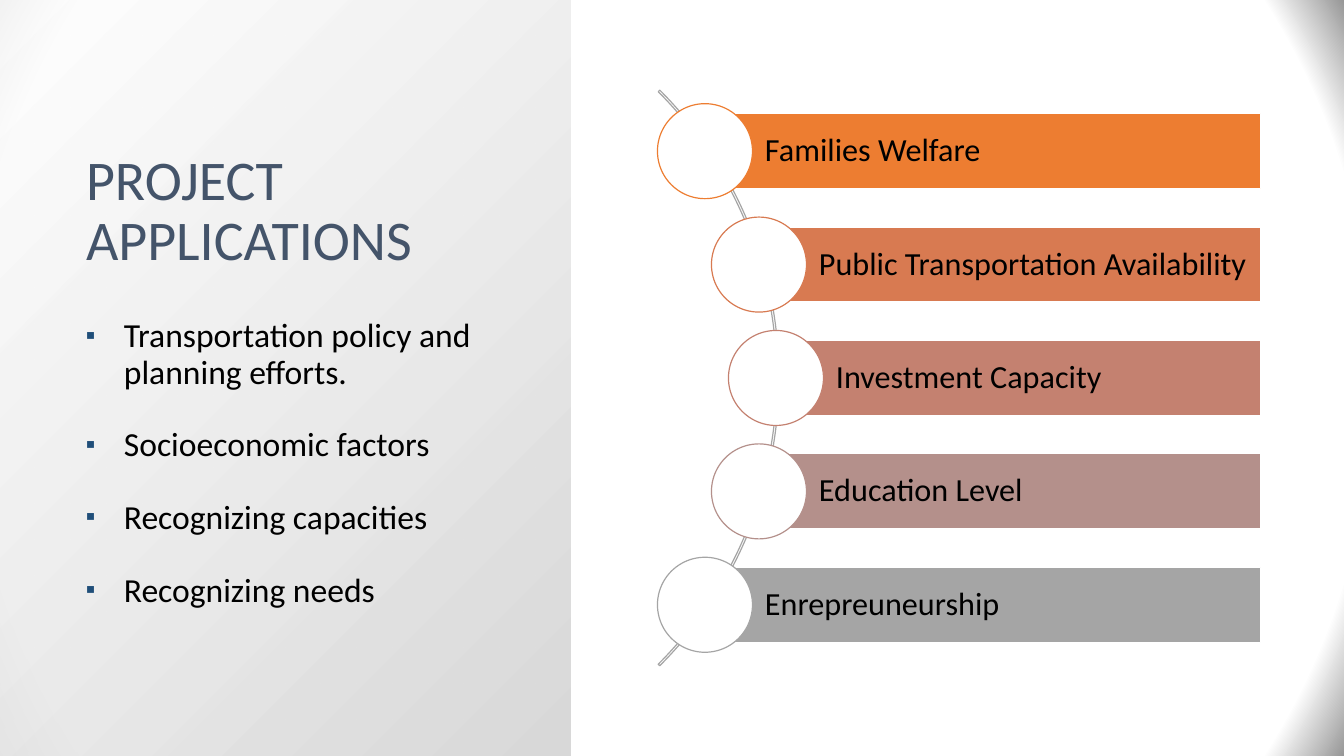
from lxml import etree
from pptx import Presentation
from pptx.dml.color import RGBColor
from pptx.enum.shapes import MSO_SHAPE
from pptx.enum.text import MSO_ANCHOR, MSO_AUTO_SIZE, PP_ALIGN
from pptx.oxml import parse_xml
from pptx.oxml.ns import nsdecls
from pptx.util import Pt

RECT, OVAL, ARC = MSO_SHAPE.RECTANGLE, MSO_SHAPE.OVAL, MSO_SHAPE.BLOCK_ARC
MIDDLE, BOTTOM = MSO_ANCHOR.MIDDLE, MSO_ANCHOR.BOTTOM
LEFT, NO_FIT = PP_ALIGN.LEFT, MSO_AUTO_SIZE.NONE

TITLE = "PROJECT APPLICATIONS"
POINTS = [
    "Transportation policy and planning efforts.",
    "Socioeconomic factors",
    "Recognizing capacities",
    "Recognizing needs",
]
APPLICATIONS = [
    ("Families Welfare", 705, "orange"),
    ("Public Transportation Availability", 759, "copper"),
    ("Investment Capacity", 776, "clay"),
    ("Education Level", 759, "mauve"),
    ("Enrepreuneurship", 705, "gray"),
]
COLORS = {
    "title": "44546A", "text": "000000", "bullet": "1F4E79", "white": "FFFFFF",
    "panel": "D9D9D9", "edge": "979797", "orange": "ED7D31", "copper": "D87A51",
    "clay": "C48170", "mauve": "B4908B", "gray": "A5A5A5",
}
FONT = "Calibri"
EMU_PER_INCH, PX_PER_INCH = 914400, 100.8
SLIDE_W, SLIDE_H = 1344, 756
BAR_RIGHT, BAR_H, BARS_H, CIRCLE = 1261, 75, 567, 95
ARC_LEFT, ARC_SIZE = -35, 814


def px(length):
    return round(length * EMU_PER_INCH / PX_PER_INCH)


def box(left, top, width, height):
    return [px(value) for value in (left, top, width, height)]


def rgb(name):
    return RGBColor.from_string(COLORS[name])


def radial(fill, owner, stops, focus):
    fill.gradient()
    gradient = owner.xpath(".//a:gradFill")[0]
    stop_xml = "".join(
        f'<a:gs pos="{pos * 1000}"><a:srgbClr val="{COLORS[color]}">'
        f'<a:alpha val="{alpha * 1000}"/></a:srgbClr></a:gs>'
        for pos, color, alpha in stops)
    sides = " ".join(f'{side}="{value * 1000}"' for side, value in zip("ltrb", focus))
    gradient.getparent().replace(gradient, parse_xml(
        f'<a:gradFill {nsdecls("a")} rotWithShape="1"><a:gsLst>{stop_xml}</a:gsLst>'
        f'<a:path path="circle"><a:fillToRect {sides}/></a:path></a:gradFill>'))


def add_figure(kind, place, fill, line):
    figure = slide.shapes.add_shape(kind, *place)
    figure.shadow.inherit = False
    if fill:
        figure.fill.solid()
        figure.fill.fore_color.rgb = rgb(fill)
    else:
        figure.fill.background()
    figure.line.color.rgb = rgb(line)
    figure.line.width = Pt(0.85)
    return figure


def write(paragraph, text, size, color):
    paragraph.alignment = LEFT
    paragraph.line_spacing = 0.9
    paragraph.space_before = Pt(0)
    run = paragraph.add_run()
    run.text = text
    run.font.name = FONT
    run.font.size = Pt(size)
    run.font.color.rgb = rgb(color)


def add_bullet(paragraph):
    props = paragraph._p.get_or_add_pPr()
    props.set("marL", str(px(38)))
    props.set("indent", str(px(-38)))
    color = parse_xml(f'<a:buClr {nsdecls("a")}><a:srgbClr val="{COLORS["bullet"]}"/></a:buClr>')
    props.append(color)
    for tag, name, value in (("buSzPct", "val", "80000"),
                             ("buFont", "typeface", FONT), ("buChar", "char", "▪")):
        etree.SubElement(props, color.tag.replace("buClr", tag)).set(name, value)


prs = Presentation()
prs.slide_width, prs.slide_height = px(SLIDE_W), px(SLIDE_H)
slide = prs.slides.add_slide(prs.slide_layouts[5])
radial(slide.background.fill, slide._element,
       [(91, "white", 100), (100, "edge", 100)], (50, 50, 50, 50))

panel = slide.shapes.add_shape(RECT, *box(0, 0, 571, SLIDE_H))
panel.shadow.inherit = False
panel.line.fill.background()
radial(panel.fill, panel._element,
       [(0, "panel", 100), (100, "white", 89)], (100, 100, 0, 0))
slide.shapes._spTree.insert(2, panel._element)

title = slide.shapes.title
title.left, title.top, title.width, title.height = box(76, 76, 428, 202)
title.text_frame.auto_size = NO_FIT
title.text_frame.word_wrap = True
title.text_frame.vertical_anchor = BOTTOM
write(title.text_frame.paragraphs[0], TITLE, 40, "title")

points = slide.shapes.add_textbox(*box(76, 314, 471, 366)).text_frame
points.word_wrap = True
for i, point in enumerate(POINTS):
    paragraph = points.add_paragraph() if i else points.paragraphs[0]
    write(paragraph, point, 24, "text")
    paragraph.space_after = Pt(26)
    add_bullet(paragraph)

arc = add_figure(ARC, box(ARC_LEFT, (SLIDE_H - ARC_SIZE) / 2, ARC_SIZE, ARC_SIZE), None, "gray")
for i, value in enumerate((189, 27, 0.00267)):
    arc.adjustments[i] = value

pitch = BARS_H / len(APPLICATIONS)
first_middle = (SLIDE_H - BARS_H + pitch) / 2
for i, (label, left, color) in enumerate(APPLICATIONS):
    middle = first_middle + i * pitch
    bar = add_figure(RECT, box(left, middle - BAR_H / 2, BAR_RIGHT - left, BAR_H), color, "white")
    frame = bar.text_frame
    frame.word_wrap = True
    frame.vertical_anchor = MIDDLE
    frame.margin_left = px(60)
    frame.margin_top = frame.margin_right = frame.margin_bottom = px(6)
    write(frame.paragraphs[0], label, 23, "text")
    add_figure(OVAL, box(left - CIRCLE / 2, middle - CIRCLE / 2, CIRCLE, CIRCLE), "white", color)

prs.save("out.pptx")
